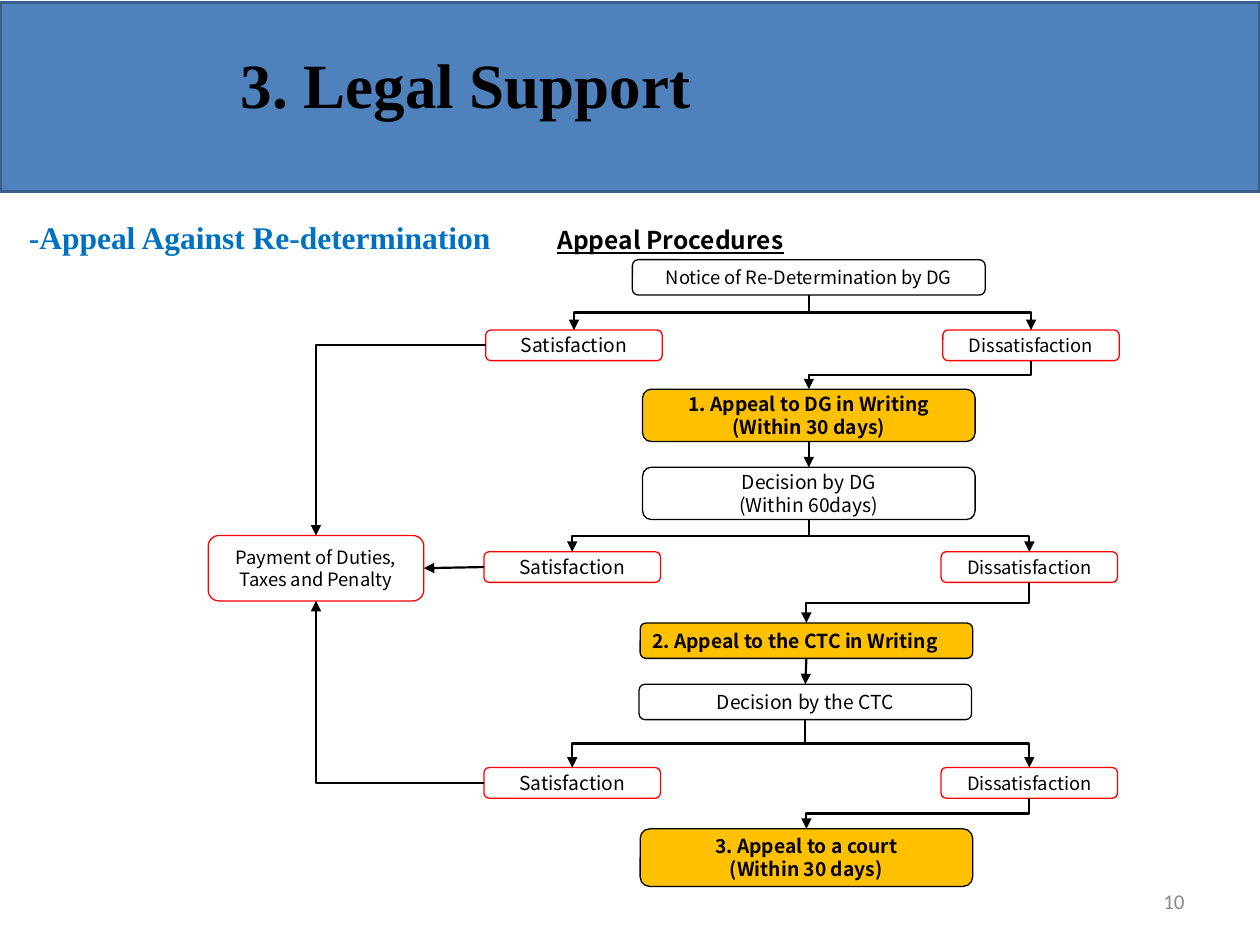
from pptx import Presentation
from pptx.dml.color import RGBColor
from pptx.enum.shapes import MSO_CONNECTOR, MSO_SHAPE
from pptx.enum.text import MSO_ANCHOR, PP_ALIGN
from pptx.oxml.ns import qn
from pptx.util import Pt
from lxml import etree

RECT, ROUND = MSO_SHAPE.RECTANGLE, MSO_SHAPE.ROUNDED_RECTANGLE
LINE, ELBOW = MSO_CONNECTOR.STRAIGHT, MSO_CONNECTOR.ELBOW
LEFT, MID, RIGHT = PP_ALIGN.LEFT, PP_ALIGN.CENTER, PP_ALIGN.RIGHT
TOP, CENTER = MSO_ANCHOR.TOP, MSO_ANCHOR.MIDDLE
SANS, SERIF = "Noto Sans CJK JP", "Times New Roman"
BLACK, WHITE, RED, GOLD = "000000", "FFFFFF", "FF0000", "FFC000"

# name: (center x, top, width, height, lines, size, fill, edge)
STEPS = {
    "notice": (462.2, 148.4, 201.6, 20.2, ["Notice of Re-Determination by DG"], 10.5, WHITE, BLACK),
    "appeal1": (462.2, 222.4, 190, 29.9, ["1. Appeal to DG in Writing", "(Within 30 days)"], 11, GOLD, BLACK),
    "ruling1": (462.2, 267, 190, 29.9, ["Decision by DG", "(Within 60days)"], 11, WHITE, BLACK),
    "appeal2": (460.8, 356, 190, 20.2, ["2. Appeal to the CTC in Writing"], 11, GOLD, BLACK),
    "ruling2": (460.2, 391, 190, 20.2, ["Decision by the CTC"], 11, WHITE, BLACK),
    "appeal3": (460.8, 473.6, 190, 32.9, ["3. Appeal to a court", "(Within 30 days)"], 11, GOLD, BLACK),
    "pay": (180.6, 306, 123.2, 37.4, ["Payment of Duties, Taxes and Penalty"], 10.5, WHITE, RED),
    "head": (383.2, 126.7, 336.2, 20.2, ["Appeal Procedures"], 14, WHITE, None),
}
SPLITS = [(1, 328, 589.2, 188.6), (2, 327, 588.2, 315.3), (3, 327, 588.2, 438.6)]
for n, yes, no, top in SPLITS:
    STEPS[f"yes{n}"] = (yes, top, 100.8, 17.5, ["Satisfaction"], 11, WHITE, RED)
    STEPS[f"no{n}"] = (no, top, 100.8, 17.5, ["Dissatisfaction"], 10.5, WHITE, RED)

BENDS = [("notice", "yes1"), ("notice", "no1"), ("no1", "appeal1"),
         ("ruling1", "yes2"), ("ruling1", "no2"), ("no2", "appeal2"),
         ("ruling2", "yes3"), ("ruling2", "no3"), ("no3", "appeal3")]
DROPS = [("appeal1", 2, "ruling1", 0), ("appeal2", 2, "ruling2", 0), ("yes2", 1, "pay", 3)]


def color(code):
    return RGBColor.from_string(code)


def write(shape, lines, size, font, ink=BLACK, bold=False, align=LEFT, anchor=TOP):
    frame = shape.text_frame
    frame.word_wrap = True
    frame.vertical_anchor = anchor
    frame.text = "\n".join(lines)
    for para in frame.paragraphs:
        para.alignment = align
        face = para.font
        face.size, face.name, face.bold = Pt(size), font, bold
        face.color.rgb = color(ink)
    return frame


def draw(kind, x, y, w, h, fill, edge, width):
    shape = slide.shapes.add_shape(kind, Pt(x), Pt(y), Pt(w), Pt(h))
    shape.shadow.inherit = False
    shape.fill.solid()
    shape.fill.fore_color.rgb = color(fill)
    if edge:
        shape.line.color.rgb = color(edge)
        shape.line.width = Pt(width)
    else:
        shape.line.fill.background()
    return shape


def add_step(name, x, y, w, h, lines, size, fill, edge):
    shape = draw(ROUND, x - w / 2, y, w, h, fill, edge, 0.75)
    align = LEFT if name == "appeal2" else MID
    frame = write(shape, lines, size, SANS, BLACK, fill == GOLD or name == "head", align, CENTER)
    frame.margin_left = frame.margin_right = Pt(5.8)
    frame.margin_top = frame.margin_bottom = Pt(0.7)
    for para in frame.paragraphs:
        para.line_spacing = Pt(size * 1.2)
        para.font.underline = True if name == "head" else None
    return shape


def arrow(kind, x1, y1, x2, y2):
    link = slide.shapes.add_connector(kind, Pt(x1), Pt(y1), Pt(x2), Pt(y2))
    link.line.color.rgb = color(BLACK)
    link.line.width = Pt(1.25)
    props = link._element.spPr
    tail = etree.SubElement(props.find(qn("a:ln")), qn("a:tailEnd"))
    tail.set("type", "triangle")
    etree.SubElement(props, qn("a:effectLst"))
    return link


def bend(start, end):
    x1, y1 = STEPS[start][0], STEPS[start][1] + STEPS[start][3]
    x2, y2 = STEPS[end][:2]
    mx, my = (x1 + x2) / 2, (y1 + y2) / 2
    dx, dy = abs(x2 - x1) / 2, (y2 - y1) / 2
    side = 1 if x2 > x1 else -1
    link = arrow(ELBOW, mx + side * dy, my - dx, mx - side * dy, my + dx)
    turn = 270 if side > 0 else 90
    link._element.spPr.find(qn("a:xfrm")).set("rot", str(turn * 60000))


def corner(start, y2):
    x, y, w, h = STEPS[start][:4]
    link = arrow(ELBOW, x - w / 2, y + h / 2, STEPS["pay"][0], y2)
    link._element.spPr.find(qn("a:prstGeom")).set("prst", "bentConnector2")


deck = Presentation()
deck.slide_width, deck.slide_height = Pt(720), Pt(540)
slide = deck.slides.add_slide(deck.slide_layouts[5])

band = draw(RECT, 0, 1.4, 720, 108, "4F81BD", "3A5F8C", 2)
slide.shapes._spTree.insert(2, band._element)

title = slide.shapes.title
title.left, title.top, title.width, title.height = Pt(130.3), Pt(22.3), Pt(349.2), Pt(51)
write(title, ["3. Legal Support"], 36, SERIF, bold=True)

page = slide.shapes.add_textbox(Pt(516), Pt(500.5), Pt(168), Pt(28.8))
write(page, ["10"], 12, "Calibri", "898989", align=RIGHT, anchor=CENTER)

boxes = {name: add_step(name, *step) for name, step in STEPS.items()}
for start, end in BENDS:
    bend(start, end)
for start, out, end, into in DROPS:
    link = arrow(LINE, 0, 0, 0, 0)
    link.begin_connect(boxes[start], out)
    link.end_connect(boxes[end], into)
pay = STEPS["pay"]
corner("yes1", pay[1])
corner("yes3", pay[1] + pay[3])

topic = slide.shapes.add_textbox(Pt(9.4), Pt(121), Pt(296), Pt(37.4))
write(topic, ["-Appeal Against Re-determination"], 18, SERIF, "0070C0", True)

deck.save("out.pptx")
